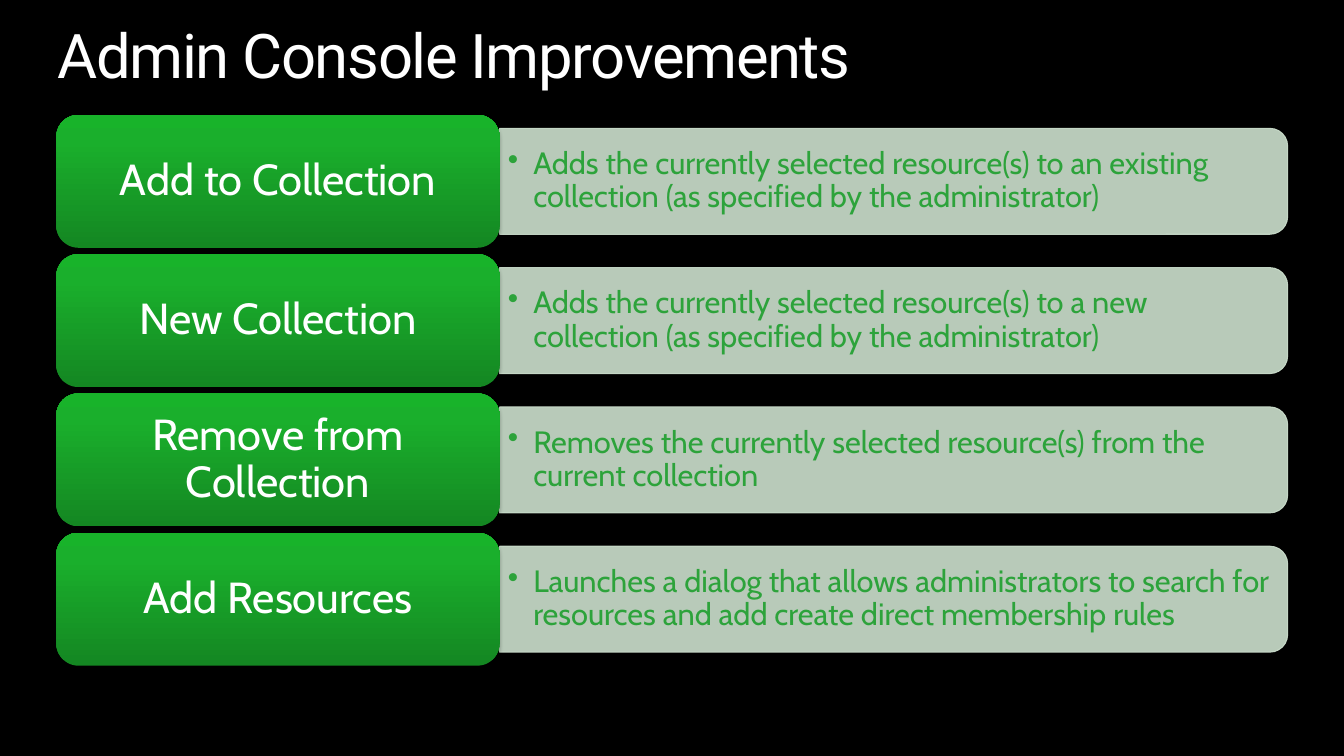
from copy import deepcopy

from lxml import etree
from pptx import Presentation, util as u
from pptx.dml.color import RGBColor
from pptx.enum import shapes, text
from pptx.oxml import ns

COLORS = {
    "background": "000000",
    "title": "FFFFFF",
    "label": "FFFFFF",
    "detail": "2DA33B",
    "panel": "CDE0CE",
    "shadow": "000000",
}
LABEL_GRADIENT = [(0, "148722"), (0.8, "1AAF2C"), (1, "18B32A")]
ACTIONS = [
    ("Add to Collection",
     "Adds the currently selected resource(s) to an existing collection (as specified by the administrator)"),
    ("New Collection",
     "Adds the currently selected resource(s) to a new collection (as specified by the administrator)"),
    ("Remove from Collection",
     "Removes the currently selected resource(s) from the current collection"),
    ("Add Resources",
     "Launches a dialog that allows administrators to search for resources and add create direct membership rules"),
]
FIRST_CENTER = 4.57
ROW_PITCH = 3.51
LABEL_LEFT, LABEL_WIDTH, LABEL_HEIGHT = 1.42, 11.17, 3.35
PANEL_LEFT, PANEL_WIDTH, PANEL_HEIGHT = 12.59, 19.86, 2.67
DETAIL_LEFT, DETAIL_WIDTH, DETAIL_HEIGHT = 12.57, 19.74, 2.41


def add_child(parent, tag, **attributes):
    child = etree.SubElement(parent, ns.qn(tag))
    for name, value in attributes.items():
        child.set(name, str(value))
    return child


def write(frame, words, *, size, color, font="Cabin", align=text.PP_ALIGN.LEFT,
          anchor=text.MSO_ANCHOR.MIDDLE, inset=(0, 0), bullet=False, spacing=0):
    frame.word_wrap = True
    frame.vertical_anchor = anchor
    frame.margin_left = frame.margin_right = u.Cm(inset[0])
    frame.margin_top = frame.margin_bottom = u.Cm(inset[1])
    paragraph = frame.paragraphs[0]
    paragraph.alignment = align
    paragraph.line_spacing = 0.9
    if bullet:
        properties = paragraph._p.get_or_add_pPr()
        properties.set("marL", str(u.Cm(0.64)))
        properties.set("indent", str(u.Cm(-0.64)))
        add_child(properties, "a:buChar", char="•")
    run = paragraph.add_run()
    run.text = words
    run.font.size = u.Pt(size)
    run.font.name = font
    run.font.color.rgb = RGBColor.from_string(COLORS[color])
    if spacing:
        run._r.get_or_add_rPr().set("spc", str(spacing))


class ConsoleSlide:
    def __init__(self, presentation):
        self.slide = presentation.slides.add_slide(presentation.slide_layouts[6])
        backdrop = self.slide.background.fill
        backdrop.solid()
        backdrop.fore_color.rgb = RGBColor.from_string(COLORS["background"])

    def textbox(self, left, top, width, height, words, **style):
        box = self.slide.shapes.add_textbox(*map(u.Cm, (left, top, width, height)))
        write(box.text_frame, words, **style)

    def shape(self, kind, left, top, width, height):
        block = self.slide.shapes.add_shape(kind, *map(u.Cm, (left, top, width, height)))
        block.shadow.inherit = False
        effects = block._element.spPr.find(ns.qn("a:effectLst"))
        shadow = add_child(effects, "a:outerShdw", blurRad=u.Pt(3.1), dist=u.Pt(1.8),
                           dir=5400000, rotWithShape=0)
        tint = add_child(shadow, "a:srgbClr", val=COLORS["shadow"])
        add_child(tint, "a:alpha", val=35000)
        return block

    def panel(self, center):
        middle = PANEL_LEFT + PANEL_WIDTH / 2
        panel = self.shape(shapes.MSO_SHAPE.ROUND_2_SAME_RECTANGLE,
                           middle - PANEL_HEIGHT / 2, center - PANEL_WIDTH / 2,
                           PANEL_HEIGHT, PANEL_WIDTH)
        panel.rotation = 90
        panel.fill.solid()
        panel.fill.fore_color.rgb = RGBColor.from_string(COLORS["panel"])
        panel.line.color.rgb = RGBColor.from_string(COLORS["panel"])
        panel.line.width = u.Pt(0.75)
        for tint in panel._element.spPr.findall(".//" + ns.qn("a:solidFill") + "/" + ns.qn("a:srgbClr")):
            add_child(tint, "a:alpha", val=90000)

    def label(self, center, words):
        label = self.shape(shapes.MSO_SHAPE.ROUNDED_RECTANGLE, LABEL_LEFT,
                           center - LABEL_HEIGHT / 2, LABEL_WIDTH, LABEL_HEIGHT)
        label.line.fill.background()
        label.fill.gradient()
        label.fill.gradient_angle = 90
        stops = label._element.spPr.find(".//" + ns.qn("a:gsLst"))
        stops.append(deepcopy(stops[-1]))
        for stop, (position, color) in zip(label.fill.gradient_stops, LABEL_GRADIENT):
            stop.position = position
            stop.color.rgb = RGBColor.from_string(color)
        write(label.text_frame, words, size=31, color="label",
              align=text.PP_ALIGN.CENTER, inset=(0.5, 0.3))

    def action(self, center, name, detail):
        self.panel(center)
        self.textbox(DETAIL_LEFT, center - DETAIL_HEIGHT / 2, DETAIL_WIDTH, DETAIL_HEIGHT,
                     detail, size=22, color="detail", inset=(0.23, 0.12), bullet=True)
        self.label(center, name)


def main():
    presentation = Presentation()
    presentation.slide_width = u.Cm(33.87)
    presentation.slide_height = u.Cm(19.05)
    console = ConsoleSlide(presentation)
    console.textbox(1.45, 0.64, 30.96, 1.7, "Admin Console Improvements", size=44,
                    color="title", font="Roboto", anchor=text.MSO_ANCHOR.TOP, spacing=-100)
    for row, (name, detail) in enumerate(ACTIONS):
        console.action(FIRST_CENTER + row * ROW_PITCH, name, detail)
    presentation.save("out.pptx")


if __name__ == "__main__":
    main()
